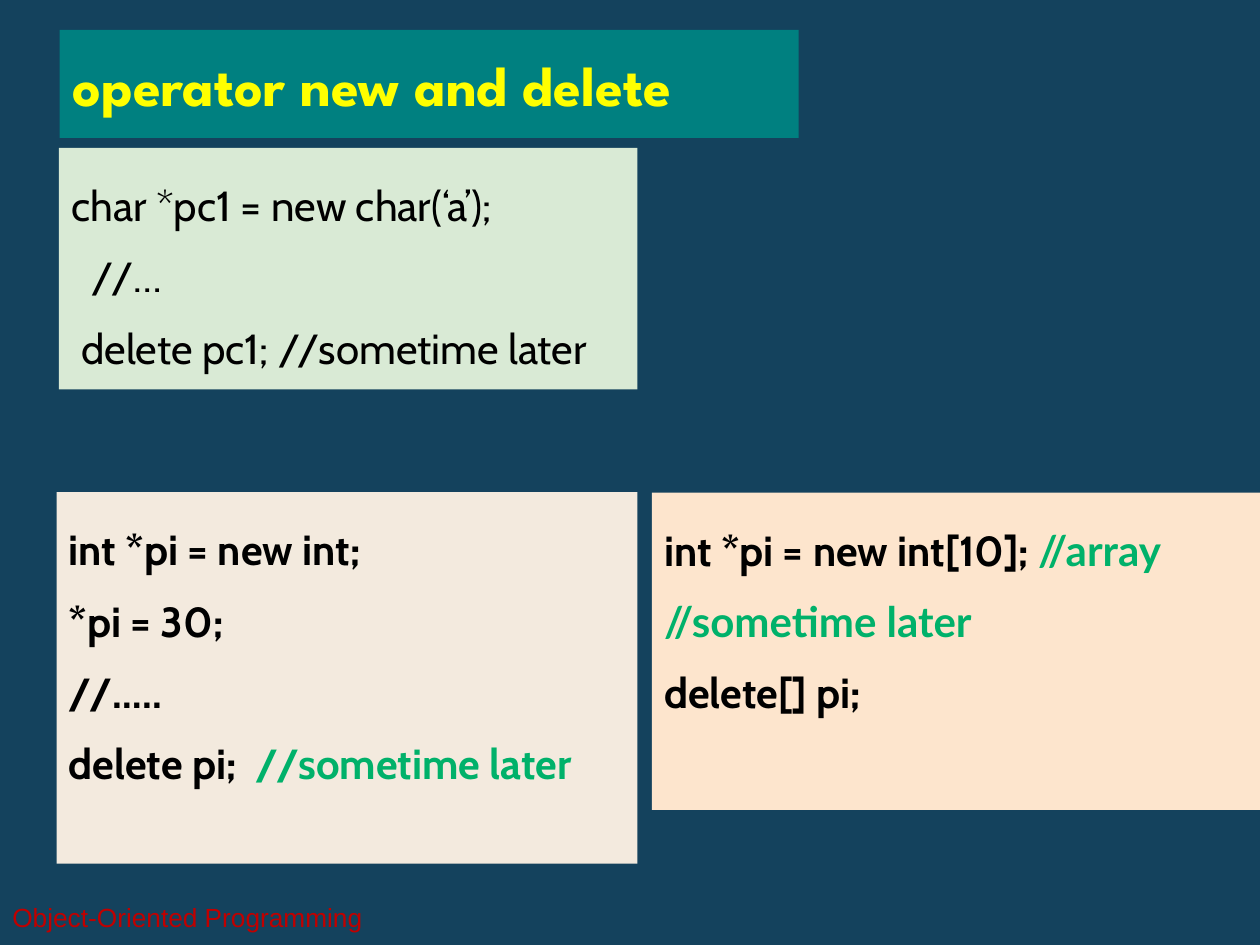
from pptx import Presentation
from pptx.dml.color import RGBColor
from pptx.enum.shapes import MSO_SHAPE
from pptx.enum.text import MSO_ANCHOR, MSO_AUTO_SIZE, PP_ALIGN
from pptx.util import Cm, Pt

COLORS = {
    "background": "14425D", "teal": "008080", "yellow": "FFFF00",
    "red": "C00000", "black": "000000", "comment": "00B16A",
    "green": "D9EAD5", "sand": "F3EADE", "peach": "FDE5CD",
}

TITLE = "operator new and delete"
FOOTER = "Object-Oriented Programming"

# Each line is (indent in cm, runs); each run is (text, color, font)
CODE_PANELS = [
    {"box": (1.19, 2.98, 11.66, 4.87), "fill": "green", "bold": False, "lines": [
        (0, [("char *pc1 = new char(‘a’);", "black", "Cabin")]),
        (0.4, [("//…", "black", "Cabin")]),
        (0.2, [("delete pc1; //sometime later", "black", "Cabin")]),
    ]},
    {"box": (1.14, 9.92, 11.71, 7.49), "fill": "sand", "bold": True, "lines": [
        (0, [("int *pi = new int;", "black", "Cabin")]),
        (0, [("*pi = 30;", "black", "Cabin")]),
        (0, [("//…..", "black", "Cabin")]),
        (0, [("delete pi;  ", "black", "Cabin"),
             ("//sometime later", "comment", "Cabin")]),
    ]},
    {"box": (13.14, 9.93, 12.26, 6.4), "fill": "peach", "bold": True, "lines": [
        (0, [("int *pi = new int[10]; ", "black", "Cabin"),
             ("//array", "comment", "Lato")]),
        (0, [("//sometime later", "comment", "Lato")]),
        (0, [("delete[] pi;", "black", "Cabin")]),
    ]},
]


def color(name):
    return RGBColor.from_string(COLORS[name])


def add_text(paragraph, text, *, font, size, fill, bold=False):
    run = paragraph.add_run()
    run.text = text
    run.font.name = font
    run.font.size = Pt(size)
    run.font.bold = bold
    run.font.color.rgb = color(fill)


def set_fill(shape, name):
    shape.fill.solid()
    shape.fill.fore_color.rgb = color(name)


def set_frame(shape, anchor):
    frame = shape.text_frame
    frame.word_wrap = True
    frame.auto_size = MSO_AUTO_SIZE.NONE
    frame.vertical_anchor = anchor
    frame.margin_left = frame.margin_right = Cm(0.25)
    frame.margin_top = frame.margin_bottom = Cm(0.13)
    return frame


def add_code_panel(slide, panel):
    box = [Cm(length) for length in panel["box"]]
    shape = slide.shapes.add_shape(MSO_SHAPE.RECTANGLE, *box)
    shape.shadow.inherit = False
    shape.line.fill.background()
    set_fill(shape, panel["fill"])
    frame = set_frame(shape, MSO_ANCHOR.TOP)
    for index, (indent, runs) in enumerate(panel["lines"]):
        paragraph = frame.add_paragraph() if index else frame.paragraphs[0]
        paragraph.alignment = PP_ALIGN.LEFT
        if index:
            paragraph.space_before = Pt(12)
        else:
            paragraph.line_spacing = 1.5
        if indent:
            paragraph._p.get_or_add_pPr().set("marL", str(Cm(indent)))
        for text, fill, font in runs:
            add_text(paragraph, text, font=font, size=24, fill=fill,
                     bold=panel["bold"])


def main():
    presentation = Presentation()
    presentation.slide_width, presentation.slide_height = Cm(25.4), Cm(19.05)
    slide = presentation.slides.add_slide(presentation.slide_layouts[0])
    slide.background.fill.solid()
    slide.background.fill.fore_color.rgb = color("background")

    # Title bar
    subtitle = slide.placeholders[1]._element
    subtitle.getparent().remove(subtitle)
    title = slide.shapes.title
    title.left, title.top = Cm(1.2), Cm(0.6)
    title.width, title.height = Cm(14.9), Cm(2.18)
    set_fill(title, "teal")
    frame = set_frame(title, MSO_ANCHOR.MIDDLE)
    frame.margin_left = Cm(0.27)
    frame.paragraphs[0].alignment = PP_ALIGN.LEFT
    add_text(frame.paragraphs[0], TITLE, font="League Spartan", size=32,
             fill="yellow", bold=True)

    # Footer
    footer = slide.shapes.add_textbox(Cm(0), Cm(17.98), Cm(10.2), Cm(1.02))
    frame = set_frame(footer, MSO_ANCHOR.MIDDLE)
    add_text(frame.paragraphs[0], FOOTER, font="Arial", size=15, fill="red")

    # Code panels
    for panel in CODE_PANELS:
        add_code_panel(slide, panel)

    presentation.save("out.pptx")


if __name__ == "__main__":
    main()
